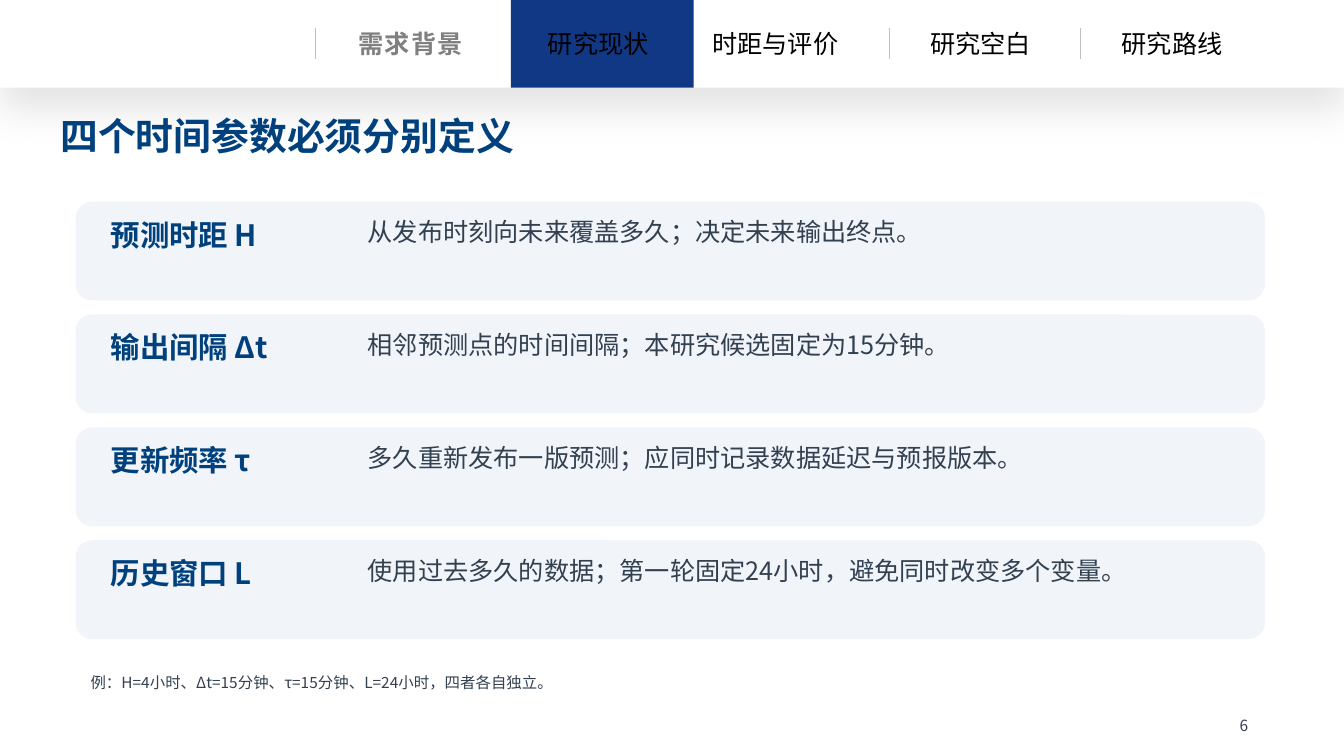
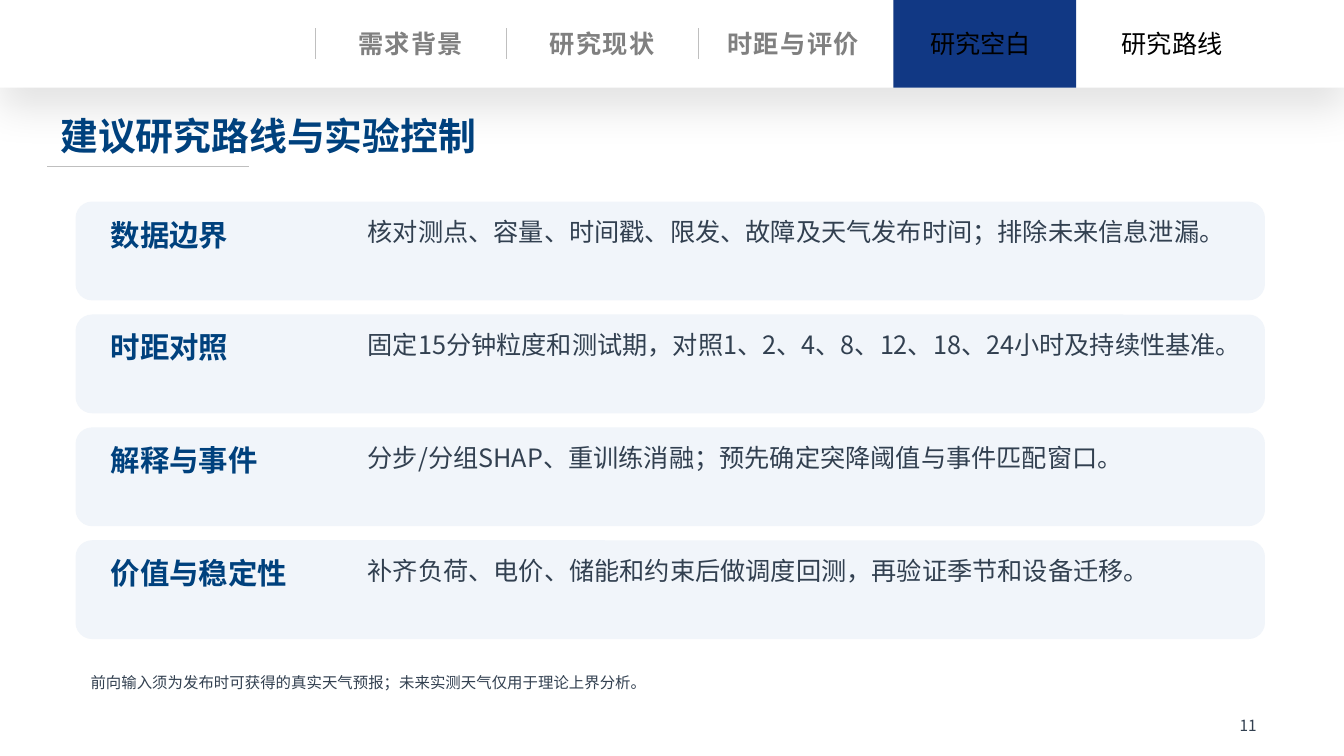
import dataclasses

import lxml.etree
import pptx
import pptx.dml.color
import pptx.enum.shapes
import pptx.enum.text
import pptx.oxml.ns
import pptx.util

Pt = pptx.util.Pt
qn = pptx.oxml.ns.qn
SHAPE = pptx.enum.shapes.MSO_SHAPE


@dataclasses.dataclass(frozen=True)
class Theme:
    white: str = "FFFFFF"
    black: str = "000000"
    band: str = "113884"
    heading: str = "00417D"
    body: str = "324050"
    card: str = "F1F5FA"
    rule: str = "BFBFBF"
    visited: str = "808080"
    latin_font: str = "Arial"
    chinese_font: str = "Noto Sans CJK SC"
    title_size: int = 27
    label_size: int = 21
    body_size: int = 18
    note_size: int = 11


THEME = Theme()
PAGE_WIDTH, PAGE_HEIGHT = 960, 540
NAV_HEIGHT = 62.6
TABS = ["需求背景", "研究现状", "时距与评价", "研究空白", "研究路线"]
TAB_LEFT, TAB_PITCH = 225.4, 136.6
CARD_TOP, CARD_PITCH, CARD_HEIGHT = 144, 80.64, 70.56

PAGES = [
    {
        "number": "6",
        "active": 1,
        "title": "四个时间参数必须分别定义",
        "title_rule": False,
        "cards": [
            ("预测时距 H", "从发布时刻向未来覆盖多久；决定未来输出终点。"),
            ("输出间隔 Δt", "相邻预测点的时间间隔；本研究候选固定为15分钟。"),
            ("更新频率 τ", "多久重新发布一版预测；应同时记录数据延迟与预报版本。"),
            ("历史窗口 L", "使用过去多久的数据；第一轮固定24小时，避免同时改变多个变量。"),
        ],
        "note": "例：H=4小时、Δt=15分钟、τ=15分钟、L=24小时，四者各自独立。",
    },
    {
        "number": "11",
        "active": 3,
        "title": "建议研究路线与实验控制",
        "title_rule": True,
        "cards": [
            ("数据边界", "核对测点、容量、时间戳、限发、故障及天气发布时间；排除未来信息泄漏。"),
            ("时距对照", "固定15分钟粒度和测试期，对照1、2、4、8、12、18、24小时及持续性基准。"),
            ("解释与事件", "分步/分组SHAP、重训练消融；预先确定突降阈值与事件匹配窗口。"),
            ("价值与稳定性", "补齐负荷、电价、储能和约束后做调度回测，再验证季节和设备迁移。"),
        ],
        "note": "前向输入须为发布时可获得的真实天气预报；未来实测天气仅用于理论上界分析。",
    },
]


def add_block(page, kind, left, top, width, height, color):
    """Add a borderless shape without a shadow."""
    block = page.shapes.add_shape(kind, Pt(left), Pt(top), Pt(width), Pt(height))
    block.shadow.inherit = False
    block.fill.solid()
    block.fill.fore_color.rgb = pptx.dml.color.RGBColor.from_string(color)
    block.line.fill.background()
    return block


def add_text(page, text, left, top, width, height, size, color,
             bold=False, font=THEME.chinese_font, wrap=True, space_after=10):
    box = page.shapes.add_textbox(Pt(left), Pt(top), Pt(width), Pt(height))
    box.text_frame.word_wrap = wrap
    box.text_frame.auto_size = pptx.enum.text.MSO_AUTO_SIZE.SHAPE_TO_FIT_TEXT
    para = box.text_frame.paragraphs[0]
    para.text = text
    para.space_after = Pt(space_after)
    para.font.name = font
    para.font.size = Pt(size)
    para.font.bold = bold
    para.font.color.rgb = pptx.dml.color.RGBColor.from_string(color)
    defaults = para._p.pPr.find(qn("a:defRPr"))
    lxml.etree.SubElement(defaults, qn("a:ea"), typeface=THEME.chinese_font)
    return para


deck = pptx.Presentation()
deck.slide_width, deck.slide_height = Pt(PAGE_WIDTH), Pt(PAGE_HEIGHT)

for content in PAGES:
    page = deck.slides.add_slide(deck.slide_layouts[6])
    active = content["active"]

    nav = add_block(page, SHAPE.RECTANGLE, 0, 0, PAGE_WIDTH, NAV_HEIGHT, THEME.white)
    shadow = lxml.etree.SubElement(
        nav._element.spPr.find(qn("a:effectLst")), qn("a:outerShdw"),
        blurRad=str(Pt(28)), dist=str(Pt(15)), dir="5400000", rotWithShape="0")
    shadow_color = lxml.etree.SubElement(shadow, qn("a:srgbClr"), val=THEME.black)
    lxml.etree.SubElement(shadow_color, qn("a:alpha"), val="11000")

    # The active tab hides the separators on both of its sides.
    rules = []
    for index, name in enumerate(TABS):
        left = TAB_LEFT + index * TAB_PITCH
        if index not in (active, active + 1):
            rules.append((left, 20.2, left, 42.5))
        if index == active:
            add_block(page, SHAPE.RECTANGLE, left + 3, 0, 130.5, NAV_HEIGHT, THEME.band)
        width = 91.4 if len(name) == 4 else 129.6
        visited = index < active
        para = add_text(page, name, left + 68 - width / 2, 16.6, width, 28.8,
                        THEME.body_size, THEME.visited if visited else THEME.black,
                        visited, THEME.latin_font, wrap=False, space_after=0)
        if visited:
            para.alignment = pptx.enum.text.PP_ALIGN.CENTER
            para._p.pPr.find(qn("a:defRPr")).set("spc", "100")

    if content["title_rule"]:
        rules.append((33.8, 118.8, 177.8, 118.8))
    for ends in rules:
        rule = page.shapes.add_connector(
            pptx.enum.shapes.MSO_CONNECTOR.STRAIGHT, *map(Pt, ends))
        rule.line.color.rgb = pptx.dml.color.RGBColor.from_string(THEME.rule)
        rule.line.width = Pt(0.5)
        lxml.etree.SubElement(rule._element.spPr, qn("a:effectLst"))

    add_block(page, SHAPE.RECTANGLE, 21.6, 133.2, 914.4, 373, THEME.white)
    add_text(page, content["title"], 36, 77, 885.6, 41.8,
             THEME.title_size, THEME.heading, bold=True)

    for index, (label, description) in enumerate(content["cards"]):
        top = CARD_TOP + index * CARD_PITCH
        add_block(page, SHAPE.ROUNDED_RECTANGLE, 54, top, 849.6, CARD_HEIGHT, THEME.card)
        add_text(page, label, 72, top + 7.2, 172.8, 54,
                 THEME.label_size, THEME.heading, bold=True)
        add_text(page, description, 255.6, top + 7.2, 622.8, 57.6,
                 THEME.body_size, THEME.body)

    add_text(page, content["note"], 57.6, 477.4, 842.4, 27.4, THEME.note_size, THEME.body)
    add_text(page, content["number"], 878.4, 508.3, 36, 18, THEME.note_size, THEME.body)

deck.save("out.pptx")
